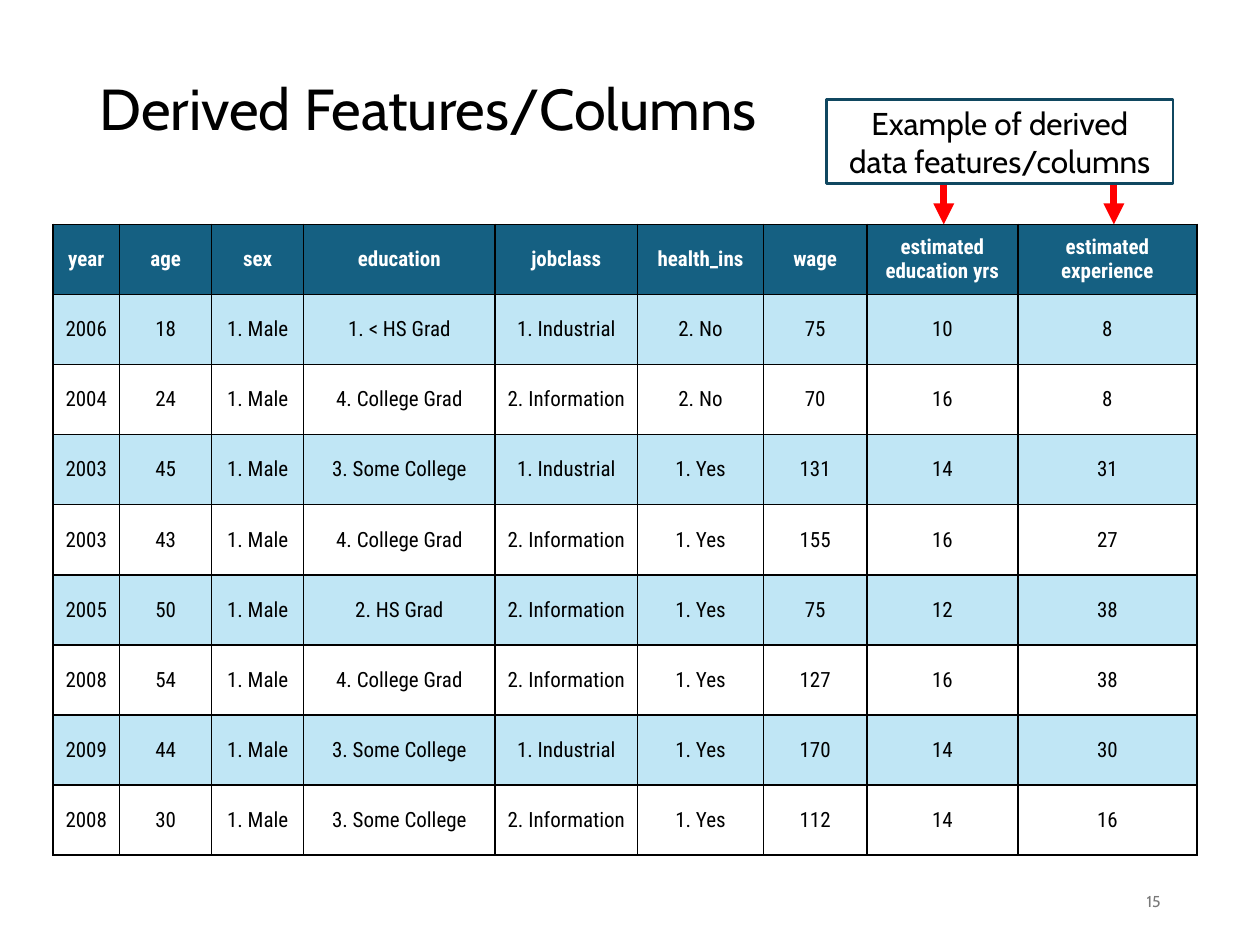
from lxml import etree
from pptx import Presentation
from pptx import util as u
from pptx.dml.color import RGBColor
from pptx.enum import shapes, text
from pptx.oxml import ns

BLACK = RGBColor(0x00, 0x00, 0x00)
WHITE = RGBColor(0xFF, 0xFF, 0xFF)
RED = RGBColor(0xFF, 0x00, 0x00)
GREY = RGBColor(0x79, 0x79, 0x79)
NAVY = RGBColor(0x10, 0x47, 0x60)
HEADER_BLUE = RGBColor(0x15, 0x60, 0x82)
BAND_BLUE = RGBColor(0xC0, 0xE6, 0xF5)

LEFT, CENTER, RIGHT = text.PP_ALIGN.LEFT, text.PP_ALIGN.CENTER, text.PP_ALIGN.RIGHT

COLUMN_WIDTHS = [38.2, 52.6, 52.6, 109.4, 81.4, 72, 59, 86.4, 102.2]
ROW_HEIGHT = 40.08
WAGE_RECORDS = [
    ["year", "age", "sex", "education", "jobclass", "health_ins", "wage",
     "estimated education yrs", "estimated\nexperience"],
    ["2006", "18", "1. Male", "1. < HS Grad", "1. Industrial", "2. No", "75", "10", "8"],
    ["2004", "24", "1. Male", "4. College Grad", "2. Information", "2. No", "70", "16", "8"],
    ["2003", "45", "1. Male", "3. Some College", "1. Industrial", "1. Yes", "131", "14", "31"],
    ["2003", "43", "1. Male", "4. College Grad", "2. Information", "1. Yes", "155", "16", "27"],
    ["2005", "50", "1. Male", "2. HS Grad", "2. Information", "1. Yes", "75", "12", "38"],
    ["2008", "54", "1. Male", "4. College Grad", "2. Information", "1. Yes", "127", "16", "38"],
    ["2009", "44", "1. Male", "3. Some College", "1. Industrial", "1. Yes", "170", "14", "30"],
    ["2008", "30", "1. Male", "3. Some College", "2. Information", "1. Yes", "112", "14", "16"],
]


def write(frame, words, font="Cabin", size=12, color=BLACK, bold=False,
          align=LEFT, spacing=1.0):
    """Fill a text frame, one paragraph per line of words."""
    frame.word_wrap = True
    frame.text = words
    for paragraph in frame.paragraphs:
        paragraph.alignment = align
        paragraph.line_spacing = spacing
        paragraph.font.name = font
        paragraph.font.size = u.Pt(size)
        paragraph.font.bold = bold
        paragraph.font.color.rgb = color


def add_borders(cell, color, width):
    properties = cell._tc.get_or_add_tcPr()
    for side in ("lnL", "lnR", "lnT", "lnB"):
        border = etree.SubElement(properties, ns.qn(f"a:{side}"), w=str(u.Pt(width)))
        fill = etree.SubElement(border, ns.qn("a:solidFill"))
        etree.SubElement(fill, ns.qn("a:srgbClr"), val=str(color))


class SlideBuilder:
    """Holds the current slide and the style of its elements."""

    table_font = "Roboto Condensed"
    border_width = 1
    arrow_width = 4

    def __init__(self, slide):
        self.slide = slide

    def title(self, words, *box):
        heading = self.slide.shapes.title
        heading.left, heading.top, heading.width, heading.height = map(u.Pt, box)
        frame = heading.text_frame
        frame.auto_size = text.MSO_AUTO_SIZE.NONE
        frame.vertical_anchor = text.MSO_ANCHOR.MIDDLE
        write(frame, words, size=33, spacing=0.9)

    def arrow_down(self, x, top, bottom):
        arrow = self.slide.shapes.add_connector(
            shapes.MSO_CONNECTOR.STRAIGHT, *map(u.Pt, (x, top, x, bottom)))
        arrow.line.color.rgb = RED
        arrow.line.width = u.Pt(self.arrow_width)
        etree.SubElement(arrow.line._get_or_add_ln(), ns.qn("a:tailEnd"), type="triangle")
        etree.SubElement(arrow._element.spPr, ns.qn("a:effectLst"))

    def callout(self, words, *box):
        callout = self.slide.shapes.add_shape(
            shapes.MSO_SHAPE.RECTANGLE, *map(u.Pt, box))
        callout.shadow.inherit = False
        callout.fill.solid()
        callout.fill.fore_color.rgb = WHITE
        callout.line.color.rgb = NAVY
        callout.line.width = u.Pt(1.5)
        callout.text_frame.vertical_anchor = text.MSO_ANCHOR.MIDDLE
        write(callout.text_frame, words, size=18, align=CENTER)

    def page_number(self, number, *box):
        frame = self.slide.shapes.add_textbox(*map(u.Pt, box)).text_frame
        frame.vertical_anchor = text.MSO_ANCHOR.MIDDLE
        write(frame, number, size=9, color=GREY, align=RIGHT)

    def table(self, records, widths, row_height, left, top):
        table = self.slide.shapes.add_table(
            len(records), len(widths), u.Pt(left), u.Pt(top),
            u.Pt(sum(widths)), u.Pt(row_height * len(records))).table
        table.first_row = table.horz_banding = False
        for column, width in zip(table.columns, widths):
            column.width = u.Pt(width)
        for row_index, record in enumerate(records):
            table.rows[row_index].height = u.Pt(row_height)
            for column_index, words in enumerate(record):
                self.table_cell(table.cell(row_index, column_index), words, row_index)

    def table_cell(self, cell, words, row_index):
        is_header = row_index == 0
        add_borders(cell, BLACK, self.border_width)
        if is_header or row_index % 2:
            cell.fill.solid()
            cell.fill.fore_color.rgb = HEADER_BLUE if is_header else BAND_BLUE
        else:
            cell.fill.background()
        cell.margin_left = cell.margin_right = cell.margin_top = cell.margin_bottom = 0
        cell.vertical_anchor = text.MSO_ANCHOR.MIDDLE
        write(cell.text_frame, words, font=self.table_font, bold=is_header,
              color=WHITE if is_header else BLACK, align=CENTER)


def main():
    deck = Presentation()
    deck.slide_width, deck.slide_height = u.Pt(720), u.Pt(540)
    title_only = deck.slide_layouts[5]
    builder = SlideBuilder(deck.slides.add_slide(title_only))

    table_left, table_top = 30.2, 128.2
    builder.title("Derived Features/Columns", 49.7, 28.8, 620.6, 70.6)
    for x in (539.3, 636.5):
        builder.arrow_down(x, 89.3, table_top)
    builder.callout("Example of derived data features/columns", 472.3, 56.9, 198, 48.2)
    builder.page_number("15", 508.3, 500.4, 162, 28.8)
    builder.table(WAGE_RECORDS, COLUMN_WIDTHS, ROW_HEIGHT, table_left, table_top)
    deck.save("out.pptx")


if __name__ == "__main__":
    main()
